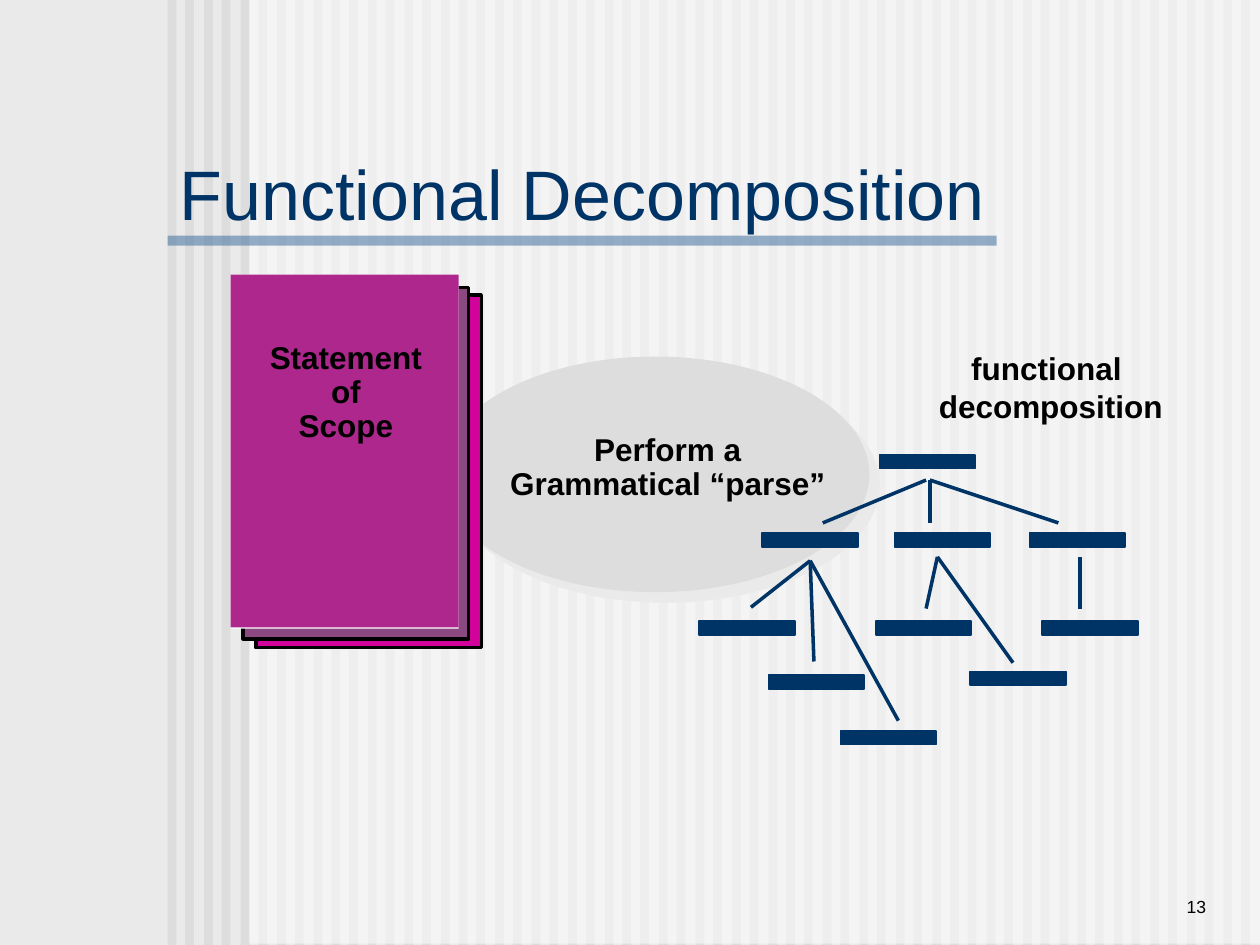
import lxml.etree
import pptx
import pptx.dml.color
import pptx.enum.shapes
import pptx.enum.text
import pptx.oxml.ns
import pptx.util

PX = 9144  # 100 px to the inch
NAVY, GREY, BACKDROP = "003366", "DDDDDD", "EAEAEA"
RECT = pptx.enum.shapes.MSO_SHAPE.RECTANGLE
OVAL = pptx.enum.shapes.MSO_SHAPE.OVAL
ANCHOR = pptx.enum.text.MSO_ANCHOR
ALIGN = pptx.enum.text.PP_ALIGN
AUTO_SIZE = pptx.enum.text.MSO_AUTO_SIZE


def px(*lengths):
    return [pptx.util.Emu(length * PX) for length in lengths]


def paint(color_format, hex_color):
    color_format.rgb = pptx.dml.color.RGBColor.from_string(hex_color)


def add_child(parent, tag, **attributes):
    child = lxml.etree.SubElement(parent, pptx.oxml.ns.qn(tag))
    for key, value in attributes.items():
        child.set(key, str(value))
    return child


def add_block(slide, box, fill, line=None, weight=1, alpha=None, kind=RECT):
    """Add a filled shape; alpha is its opacity in percent."""
    block = slide.shapes.add_shape(kind, *px(*box))
    block.shadow.inherit = False
    block.fill.solid()
    paint(block.fill.fore_color, fill)
    if alpha is not None:
        color = block._element.spPr.find(".//" + pptx.oxml.ns.qn("a:srgbClr"))
        add_child(color, "a:alpha", val=alpha * 1000)
    if line:
        paint(block.line.color, line)
        block.line.width = pptx.util.Pt(weight)
    else:
        block.line.fill.background()
    return block


def add_text(slide, box, lines, size=18, color="000000", bold=True, align=ALIGN.CENTER,
             anchor=ANCHOR.TOP, wrap=True, grow=True, spacing=None, before=None):
    frame = slide.shapes.add_textbox(*px(*box)).text_frame
    frame.word_wrap = wrap
    frame.auto_size = AUTO_SIZE.SHAPE_TO_FIT_TEXT if grow else AUTO_SIZE.NONE
    frame.vertical_anchor = anchor
    for index, line in enumerate(lines):
        paragraph = frame.add_paragraph() if index else frame.paragraphs[0]
        paragraph.alignment = align
        if spacing:
            paragraph.line_spacing = spacing
        if before:
            paragraph.space_before = pptx.util.Pt(before)
        run = paragraph.add_run()
        run.text = line
        run.font.name = "Arial"
        run.font.size = pptx.util.Pt(size)
        run.font.bold = bold
        paint(run.font.color, color)


def add_branch(slide, start, end):
    branch = slide.shapes.add_connector(
        pptx.enum.shapes.MSO_CONNECTOR.STRAIGHT, *px(*start, *end))
    paint(branch.line.color, NAVY)
    branch.line.width = pptx.util.Pt(2)
    add_child(branch._element.spPr, "a:effectLst")


def draw_backdrop(slide, width, height):
    """Fill the background, then lay 60 stripes under a translucent veil."""
    slide.background.fill.solid()
    paint(slide.background.fill.fore_color, BACKDROP)
    stripes, first, last = 60, 133, 985
    for index in range(stripes):
        left = first + round(index * (last - first) / (stripes - 1))
        add_block(slide, (left, 0, 7, height), GREY)
    add_block(slide, (198, -1, width - 198, height), "FFFFFF", alpha=50)


def draw_title(slide, left, top):
    add_block(slide, (left, top + 62, 658, 8), "336699", alpha=50)
    add_text(slide, (left, top, 756, 56), ["Functional Decomposition"], size=40,
             color=NAVY, bold=False, align=ALIGN.LEFT, anchor=ANCHOR.MIDDLE, grow=False)


def draw_parse_oval(slide, left, top):
    oval = add_block(slide, (left, top, 340, 187), GREY, kind=OVAL)
    effects = oval._element.spPr.find(pptx.oxml.ns.qn("a:effectLst"))
    shadow = add_child(effects, "a:outerShdw", dist=pptx.util.Pt(8.5),
                       dir=45 * 60000, algn="ctr", rotWithShape=0)
    add_child(shadow, "a:srgbClr", val=BACKDROP)


def draw_parse_label(slide, left, top):
    add_text(slide, (left, top, 276, 64), ["Perform a Grammatical “parse”"],
             spacing=0.9, before=11.2)


def draw_scope_pages(slide, left, top):
    """Stack three sheets, the front one last, and label them."""
    add_block(slide, (left + 20, top + 16, 179, 281), "FFFFFF")
    add_block(slide, (left + 20, top + 16, 179, 280), "D1039B", "000000", 2)
    add_block(slide, (left + 10, top + 10, 179, 279), "8C4881", "000000", 2)
    add_block(slide, (left, top, 181, 281), "FFFFFF")
    add_block(slide, (left, top, 181, 280), "AD278D")
    add_text(slide, (left + 21, top + 49, 141, 91), ["Statement", "of", "Scope"],
             wrap=False, spacing=0.9)


def draw_function_tree(slide, left, top):
    functions = [(143, 0), (50, 62), (155, 62), (262, 62), (0, 132), (55, 175),
                 (112, 219), (140, 132), (215, 172), (272, 132)]
    for x, y in functions:
        add_block(slide, (left + x, top + y, 76, 11), NAVY, NAVY)

    branches = {
        (180, 20): [(98, 54)],
        (183, 20): [(183, 54), (285, 54)],
        (88, 84): [(41, 121), (91, 164), (158, 211)],
        (189, 81): [(180, 122), (249, 165)],
        (302, 81): [(302, 122)],
    }
    for hub, tips in branches.items():
        for tip in tips:
            add_branch(slide, (left + hub[0], top + hub[1]), (left + tip[0], top + tip[1]))

    add_text(slide, (left + 180, top - 89, 198, 70), ["functional ", "decomposition"],
             wrap=False)


def draw_page_number(slide, left, top):
    add_text(slide, (left, top, 142, 50), ["13"], size=10, bold=False,
             align=ALIGN.RIGHT, anchor=ANCHOR.BOTTOM, grow=False)


def main():
    width, height = 1000, 750
    deck = pptx.Presentation()
    deck.slide_width, deck.slide_height = px(width, height)
    slide = deck.slides.add_slide(deck.slide_layouts[6])
    draw_backdrop(slide, width, height)
    draw_parse_oval(slide, 350, 283)
    draw_title(slide, 133, 125)
    draw_scope_pages(slide, 183, 218)
    draw_function_tree(slide, 555, 361)
    draw_parse_label(slide, 392, 340)
    draw_page_number(slide, 825, 683)
    deck.save("out.pptx")


if __name__ == "__main__":
    main()
